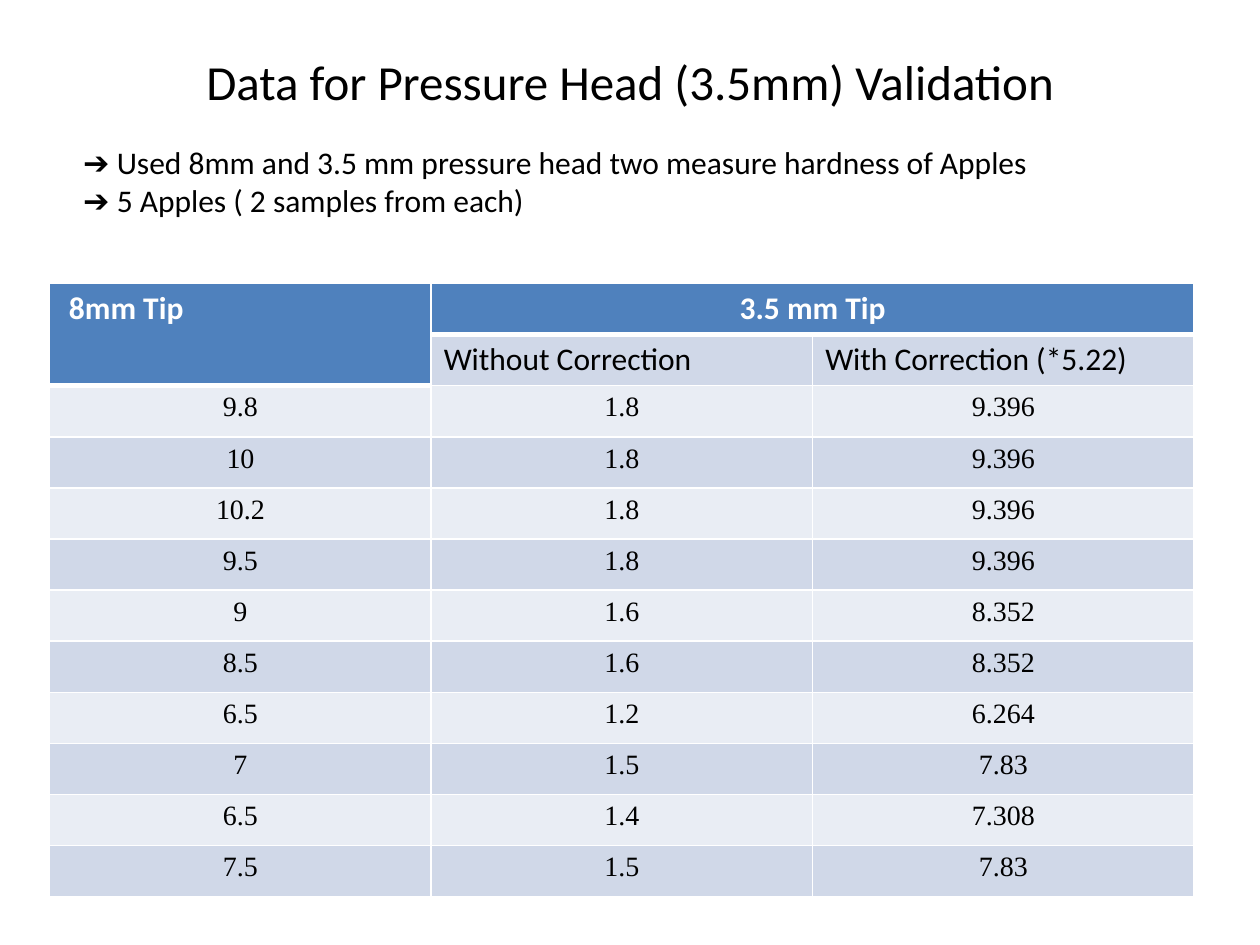
from lxml import etree
from pptx import Presentation
from pptx.dml.color import RGBColor
from pptx.enum.text import MSO_ANCHOR, MSO_AUTO_SIZE, PP_ALIGN
from pptx.oxml.ns import qn
from pptx.util import Pt

LEFT, CENTER = PP_ALIGN.LEFT, PP_ALIGN.CENTER
MIDDLE = MSO_ANCHOR.MIDDLE
FIT_SHAPE = MSO_AUTO_SIZE.SHAPE_TO_FIT_TEXT

BLACK = RGBColor(0x00, 0x00, 0x00)
WHITE = RGBColor(0xFF, 0xFF, 0xFF)
HEADER_BLUE = RGBColor(0x4F, 0x81, 0xBD)
DARK_BAND = RGBColor(0xD0, 0xD8, 0xE8)
LIGHT_BAND = RGBColor(0xE9, 0xED, 0xF4)

SANS, SERIF = "Calibri", "Times New Roman"
THIN, THICK = 1, 3  # border widths in points

TITLE = "Data for Pressure Head (3.5mm) Validation"
NOTES = [
    "➔ Used 8mm and 3.5 mm pressure head two measure hardness of Apples",
    "➔ 5 Apples ( 2 samples from each)",
]
# 8mm tip, 3.5 mm tip without correction, 3.5 mm tip with correction
READINGS = [
    ("9.8", "1.8", "9.396"),
    ("10", "1.8", "9.396"),
    ("10.2", "1.8", "9.396"),
    ("9.5", "1.8", "9.396"),
    ("9", "1.6", "8.352"),
    ("8.5", "1.6", "8.352"),
    ("6.5", "1.2", "6.264"),
    ("7", "1.5", "7.83"),
    ("6.5", "1.4", "7.308"),
    ("7.5", "1.5", "7.83"),
]
HEADER_ROWS = 2


def place(part, box):
    part.left, part.top, part.width, part.height = (Pt(length) for length in box)


def add_text(paragraph, text, size, font=SANS, color=BLACK, bold=False, align=LEFT):
    paragraph.alignment = align
    run = paragraph.add_run()
    run.text = text
    run.font.size = Pt(size)
    run.font.name = font
    run.font.bold = bold
    run.font.color.rgb = color


def set_borders(cell, top=THIN, bottom=THIN):
    properties = cell._tc.get_or_add_tcPr()
    widths = {"a:lnL": THIN, "a:lnR": THIN, "a:lnT": top, "a:lnB": bottom}
    for tag, width in widths.items():
        line = etree.SubElement(properties, qn(tag), w=str(Pt(width)))
        fill = etree.SubElement(line, qn("a:solidFill"))
        etree.SubElement(fill, qn("a:srgbClr"), val=str(WHITE))


def style_cell(cell, fill, top=THIN, bottom=THIN):
    set_borders(cell, top, bottom)
    cell.fill.solid()
    cell.fill.fore_color.rgb = fill


def add_title(slide, box):
    title = slide.shapes.title
    place(title, box)
    title.text_frame.vertical_anchor = MIDDLE
    add_text(title.text_frame.paragraphs[0], TITLE, 28, align=CENTER)


def add_notes(slide, box):
    frame = slide.shapes.add_textbox(*(Pt(length) for length in box)).text_frame
    frame.word_wrap = True
    frame.auto_size = FIT_SHAPE
    for index, note in enumerate(NOTES):
        paragraph = frame.add_paragraph() if index else frame.paragraphs[0]
        add_text(paragraph, note, 18)


def add_readings_table(slide, box):
    row_count, column_count = HEADER_ROWS + len(READINGS), len(READINGS[0])
    left, top, width, height = box
    table = slide.shapes.add_table(
        row_count, column_count, Pt(left), Pt(top), Pt(width), Pt(height)
    ).table
    for column in table.columns:
        column.width = Pt(width / column_count)
    for row in table.rows:
        row.height = Pt(height / row_count)

    # Header: one tall cell beside a wide cell with two subheadings
    for column in range(column_count):
        style_cell(table.cell(0, column), HEADER_BLUE, bottom=THICK)
    style_cell(table.cell(1, 0), HEADER_BLUE, bottom=THICK)
    table.cell(0, 0).merge(table.cell(1, 0))
    table.cell(0, 1).merge(table.cell(0, 2))
    table.cell(0, 0).margin_left = Pt(11)
    for column, (tip, align) in enumerate([("8mm Tip", LEFT), ("3.5 mm Tip", CENTER)]):
        heading = table.cell(0, column).text_frame.paragraphs[0]
        add_text(heading, tip, 18, color=WHITE, bold=True, align=align)
    for column, label in enumerate(["Without Correction", "With Correction (*5.22)"], 1):
        cell = table.cell(1, column)
        style_cell(cell, DARK_BAND, top=THICK)
        add_text(cell.text_frame.paragraphs[0], label, 18)

    # Readings in alternating bands
    for row, readings in enumerate(READINGS, HEADER_ROWS):
        band = DARK_BAND if row % 2 else LIGHT_BAND
        for column, reading in enumerate(readings):
            cell = table.cell(row, column)
            below_tall_header = row == HEADER_ROWS and column == 0
            style_cell(cell, band, top=THICK if below_tall_header else THIN)
            add_text(cell.text_frame.paragraphs[0], reading, 16, SERIF, align=CENTER)


def main():
    presentation = Presentation()
    presentation.slide_width, presentation.slide_height = Pt(720), Pt(540)
    slide = presentation.slides.add_slide(presentation.slide_layouts[5])
    add_title(slide, (36, 24, 648, 45))
    add_readings_table(slide, (28.4, 162, 654, 350.4))
    add_notes(slide, (40.5, 78, 642, 51))
    presentation.save("out.pptx")


if __name__ == "__main__":
    main()
